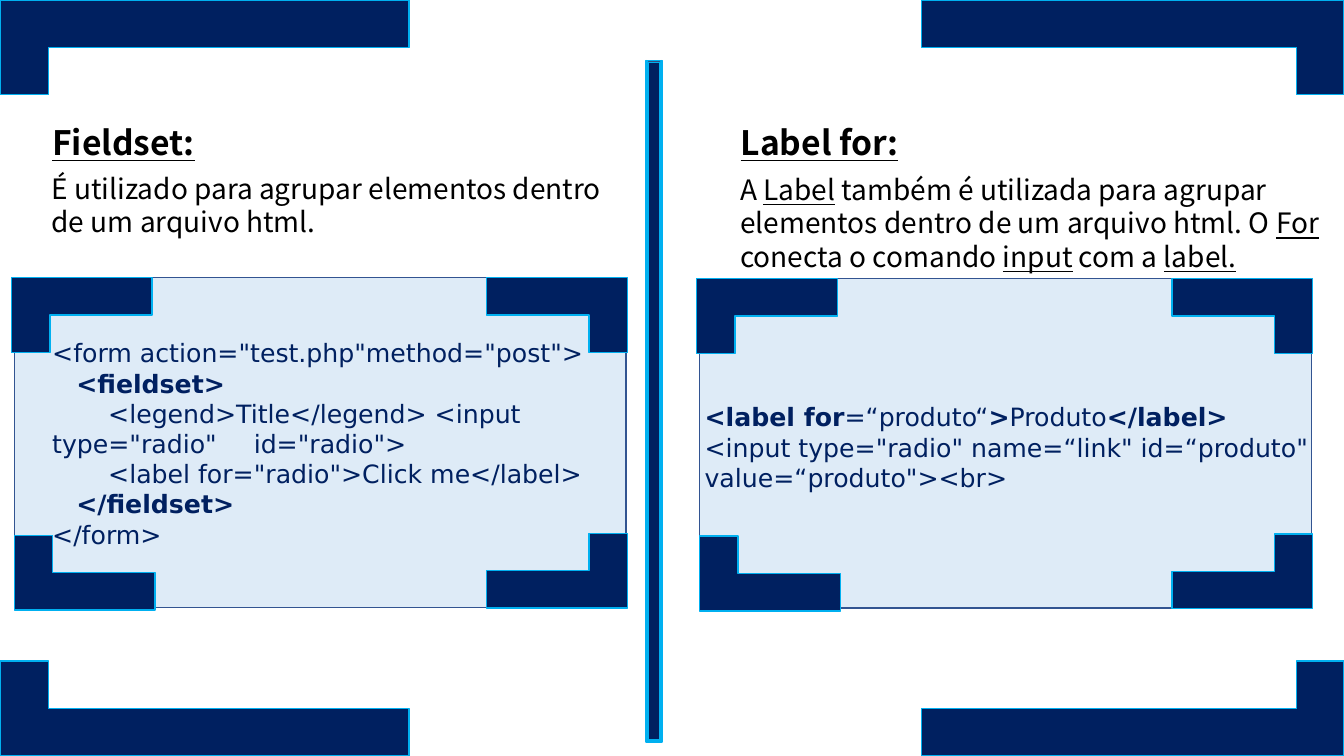
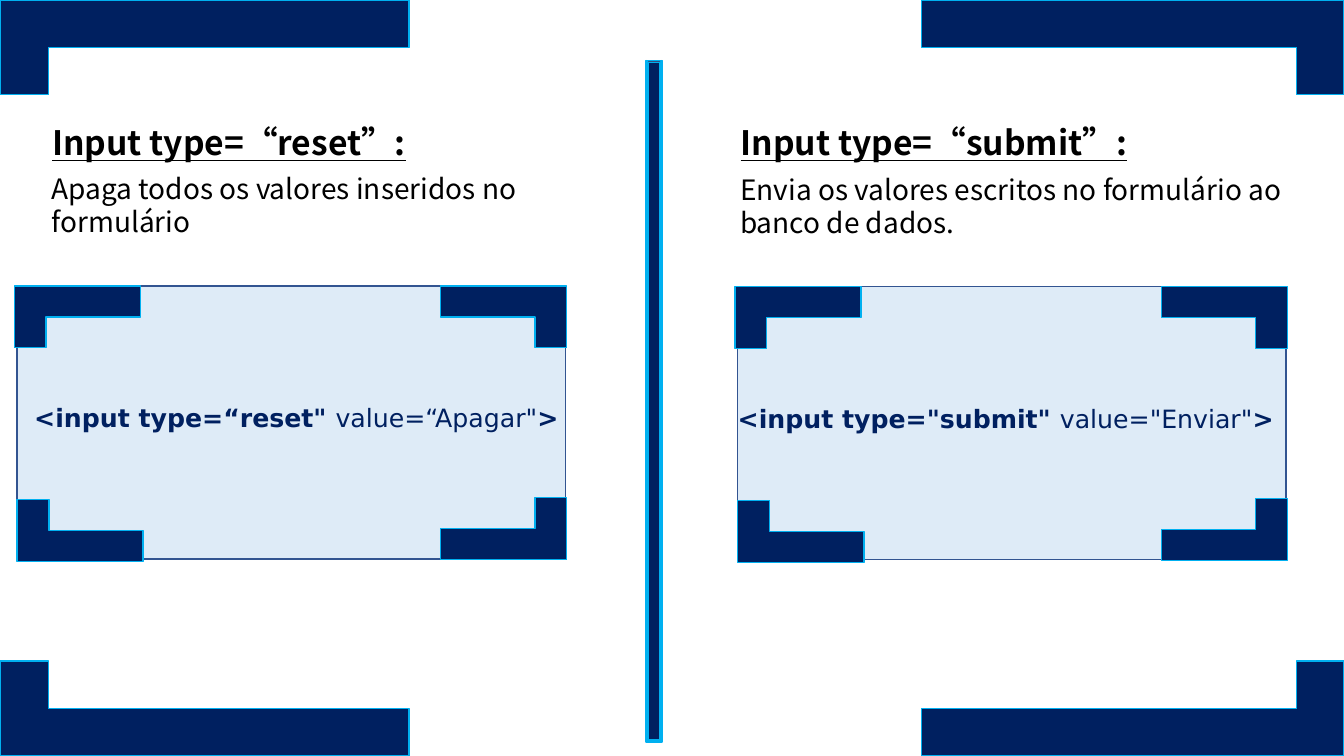
from lxml.etree import SubElement
from pptx import Presentation
from pptx.dml.color import RGBColor
from pptx.enum.shapes import MSO_SHAPE as SHAPE
from pptx.enum.text import MSO_ANCHOR as ANCHOR, MSO_AUTO_SIZE as AUTO
from pptx.oxml.ns import qn
from pptx.util import Pt

W, H = 960, 540
COLORS = {"navy": "002060", "cyan": "00B0F0", "pale": "DEEBF7",
          "edge": "325491", "black": "000000"}
BODY_FONT, CODE_FONT = "Noto Sans CJK TC", "DejaVu Sans"
FLIPS = {"tl": "v", "tr": "hv", "br": "h", "bl": ""}


def color(name):
    return RGBColor.from_string(COLORS[name])


def add_shape(shapes, kind, x, y, w, h, fill="navy", line="cyan"):
    sp = shapes.add_shape(kind, Pt(x), Pt(y), Pt(w), Pt(h))
    sp.shadow.inherit = False
    sp.fill.solid()
    sp.fill.fore_color.rgb = color(fill)
    sp.line.color.rgb = color(line)
    sp.line.width = Pt(1)
    return sp


def add_corner(shapes, place, x, y, w, h, arm=0.514):
    sp = add_shape(shapes, SHAPE.CORNER, x, y, w, h)
    sp.adjustments[0] = 0.5
    sp.adjustments[1] = arm
    for axis in FLIPS[place]:
        sp.element.spPr.xfrm.set("flip" + axis.upper(), "1")


def add_frame(slide):
    h, left_w, right_w = 67.7, 292.3, 301.7
    for row, y in (("t", 0), ("b", H - h)):
        add_corner(slide.shapes, row + "l", 0, y, left_w, h)
        add_corner(slide.shapes, row + "r", W - right_w, y, right_w, h, 0.5)
    add_shape(slide.shapes, SHAPE.BEVEL, 461.5, 43.2, 11.5, 486.7)


def add_panel(slide, x, y, w, h):
    shapes = slide.shapes.add_group_shape().shapes
    add_shape(shapes, SHAPE.RECTANGLE, x, y, w, h, "pale", "edge")
    cw, ch = 0.23 * w, 0.227 * h
    right, bottom = x + w + 1 - cw, y + h - ch
    for place, cx, cy in (("tl", x - 2, y), ("tr", right, y),
                          ("br", right, bottom + 0.5), ("bl", x, bottom + 2)):
        add_corner(shapes, place, cx, cy, cw, ch)


def add_text(slide, x, y, w, h, paragraphs, size, font=BODY_FONT, ink="black"):
    tf = slide.shapes.add_textbox(Pt(x), Pt(y), Pt(w), Pt(h)).text_frame
    tf.word_wrap = True
    tf.auto_size = AUTO.SHAPE_TO_FIT_TEXT
    for i, runs in enumerate(paragraphs):
        p = tf.add_paragraph() if i else tf.paragraphs[0]
        for text, style in runs:
            r = p.add_run()
            r.text = text
            r.font.name = font
            r.font.size = Pt(size)
            r.font.color.rgb = color(ink)
            r.font.bold = "b" in style
            r.font.underline = "u" in style
    return tf


def add_topic(slide, x, y, title, runs):
    add_text(slide, x, 83.5, 438, 36, [[(title, "bu")]], 24)
    add_text(slide, x - 0.4, y, 438 if x > W / 2 else 432, 55, [runs], 20)


def add_code(slide, x, y, w, h, lines):
    tf = add_text(slide, x, y, w, h, lines, 18, CODE_FONT, "navy")
    tf.vertical_anchor = ANCHOR.MIDDLE
    tf.margin_left = tf.margin_right = tf.margin_top = tf.margin_bottom = 0


def add_indented_code(slide, x, y, w, h, lines, tab):
    tf = add_text(slide, x, y, w, h, [[(t, s)] for _, t, s in lines],
                  18, CODE_FONT, "navy")
    for p, (indent, text, _) in zip(tf.paragraphs, lines):
        pPr = p._p.get_or_add_pPr()
        pPr.set("marL", "0")
        pPr.set("indent", str(Pt(indent)))
        if "\t" in text:
            tabs = SubElement(pPr, qn("a:tabLst"))
            SubElement(tabs, qn("a:tab"), pos=str(Pt(tab)), algn="l")


def fieldset_and_label(slide):
    add_panel(slide, 499.7, 198.9, 437, 235.4)
    add_panel(slide, 10.2, 198.4, 437, 235.4)
    add_frame(slide)
    add_topic(slide, 30.2, 118.8, "Fieldset:", [
        ("É utilizado para agrupar elementos dentro de um arquivo html.", "")])
    add_topic(slide, 522, 119.5, "Label for:", [
        ("A ", ""), ("Label", "u"),
        (" também é utilizada para agrupar elementos dentro de um arquivo html. O ", ""),
        ("For", "u"), (" conecta o comando ", ""), ("input", "u"),
        (" com a ", ""), ("label.", "u")])
    add_code(slide, 503.3, 286.6, 433.5, 65.5, [
        [("<label for", "b"), ("=“produto“", ""), (">", "b"),
         ("Produto", ""), ("</label>", "b")],
        [('<input type="radio" name=“link" id=“produto" value=“produto"><br>', "")]])
    add_indented_code(slide, 30.2, 237.6, 418.3, 160, [
        (0, '<form action="test.php"method="post">', ""),
        (17.2, "<fieldset>", "b"),
        (40, '<legend>Title</legend> <input type="radio"\tid="radio">', ""),
        (40, '<label for="radio">Click me</label>', ""),
        (17.2, "</fieldset>", "b"),
        (0, "</form>", "")], 151.5)


def reset_and_submit(slide):
    add_panel(slide, 12.2, 204.2, 391.7, 195.1)
    add_panel(slide, 527, 204.7, 391.7, 195.1)
    add_frame(slide)
    add_topic(slide, 30.2, 118.8, "Input type=“reset”:", [
        ("Apaga todos os valores inseridos no formulário", "")])
    add_topic(slide, 522, 119.5, "Input type=“submit”:", [
        ("Envia os valores escritos no formulário ao banco de dados.", "")])
    for x, y, tag, value in (
            (527, 288, '<input type="submit" ', 'value="Enviar"'),
            (24.5, 287.3, '<input type=“reset" ', 'value=“Apagar"')):
        add_code(slide, x, y, 391.7, 21.8, [[(tag, "b"), (value, ""), (">", "b")]])


def main():
    prs = Presentation()
    prs.slide_width, prs.slide_height = Pt(W), Pt(H)
    for build in (fieldset_and_label, reset_and_submit):
        build(prs.slides.add_slide(prs.slide_layouts[6]))
    prs.save("out.pptx")


if __name__ == "__main__":
    main()
